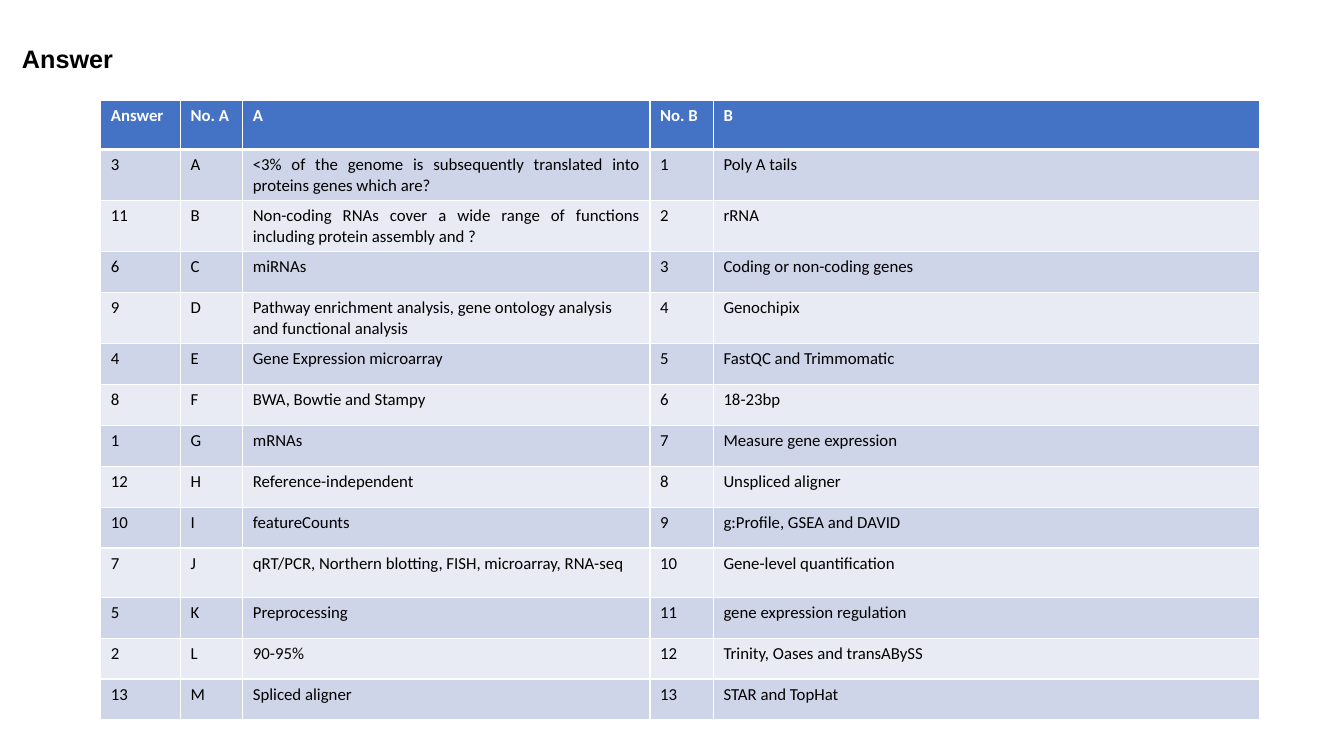
from lxml import etree
from pptx import Presentation
from pptx.dml.color import RGBColor
from pptx.enum.text import MSO_ANCHOR, MSO_AUTO_SIZE, PP_ALIGN
from pptx.oxml.ns import qn
from pptx.util import Cm, Pt

ANCHOR_MIDDLE = MSO_ANCHOR.MIDDLE
NO_AUTOFIT = MSO_AUTO_SIZE.NONE
LEFT = PP_ALIGN.LEFT
JUSTIFY = PP_ALIGN.JUSTIFY

BLACK = RGBColor(0x00, 0x00, 0x00)
WHITE = RGBColor(0xFF, 0xFF, 0xFF)
HEADER_BLUE = RGBColor(0x44, 0x72, 0xC4)
BAND_DARK = RGBColor(0xCF, 0xD5, 0xE9)
BAND_LIGHT = RGBColor(0xE8, 0xEB, 0xF4)

TITLE_ONLY = 5
THIN_LINE = Pt(1)
THICK_LINE = Pt(3)
TALL_ROW = 1.24
SHORT_ROW = 1.03

HEADINGS = ("Answer", "No. A", "A", "No. B", "B")
COLUMN_WIDTHS = (2.01, 1.57, 10.26, 1.6, 13.77)
TALL_ROWS = {0, 1, 2, 4, 10}
JUSTIFIED_CELLS = {(1, 2), (2, 2), (3, 4)}

# Matching number, question, option; letters and option numbers are counted
MATCHES = (
    (3, "<3% of the genome is subsequently translated into proteins genes which are?",
     "Poly A tails"),
    (11, "Non-coding RNAs cover a wide range of functions including protein assembly and ?",
     "rRNA"),
    (6, "miRNAs", "Coding or non-coding genes"),
    (9, "Pathway enrichment analysis, gene ontology analysis and functional analysis",
     "Genochipix"),
    (4, "Gene Expression microarray", "FastQC and Trimmomatic"),
    (8, "BWA, Bowtie and Stampy", "18-23bp"),
    (1, "mRNAs", "Measure gene expression"),
    (12, "Reference-independent", "Unspliced aligner"),
    (10, "featureCounts", "g:Profile, GSEA and DAVID"),
    (7, "qRT/PCR, Northern blotting, FISH, microarray, RNA-seq",
     "Gene-level quantification"),
    (5, "Preprocessing", "gene expression regulation"),
    (2, "90-95%", "Trinity, Oases and transABySS"),
    (13, "Spliced aligner", "STAR and TopHat"),
)


class SlideBuilder:
    title_font, title_size = "Arial", Pt(18)
    table_font, table_size = "Calibri", Pt(12)

    def __init__(self, presentation):
        self.slide = presentation.slides.add_slide(presentation.slide_layouts[TITLE_ONLY])

    def format_paragraph(self, paragraph, font_name, size, color, bold, alignment=LEFT):
        paragraph.alignment = alignment
        font = paragraph.font
        font.name, font.size, font.bold = font_name, size, bold
        font.color.rgb = color

    def title(self, text, left, top, width, height):
        title = self.slide.shapes.title
        title.left, title.top = Cm(left), Cm(top)
        title.width, title.height = Cm(width), Cm(height)
        frame = title.text_frame
        frame.text = text
        frame.auto_size = NO_AUTOFIT
        frame.vertical_anchor = ANCHOR_MIDDLE
        self.format_paragraph(frame.paragraphs[0], self.title_font, self.title_size, BLACK, True)

    def cell_borders(self, cell, top, bottom):
        properties = cell._tc.get_or_add_tcPr()
        widths = {"a:lnL": THIN_LINE, "a:lnR": THIN_LINE, "a:lnT": top, "a:lnB": bottom}
        for tag, width in widths.items():
            line = etree.SubElement(properties, qn(tag), w=str(width))
            fill = etree.SubElement(line, qn("a:solidFill"))
            etree.SubElement(fill, qn("a:srgbClr"), val=str(WHITE))

    def table(self, rows, left, top):
        heights = [TALL_ROW if i in TALL_ROWS else SHORT_ROW for i in range(len(rows))]
        table = self.slide.shapes.add_table(
            len(rows), len(COLUMN_WIDTHS), Cm(left), Cm(top),
            Cm(sum(COLUMN_WIDTHS)), Cm(sum(heights))).table
        table.horz_banding = False
        for column, width in zip(table.columns, COLUMN_WIDTHS):
            column.width = Cm(width)
        for row_index, values in enumerate(rows):
            table.rows[row_index].height = Cm(heights[row_index])
            for column_index, value in enumerate(values):
                self.cell(table, row_index, column_index, value)

    def cell(self, table, row_index, column_index, value):
        is_header = row_index == 0
        band = BAND_DARK if row_index % 2 else BAND_LIGHT
        cell = table.cell(row_index, column_index)
        cell.text = str(value)
        self.cell_borders(cell, THICK_LINE if row_index == 1 else THIN_LINE,
                          THICK_LINE if is_header else THIN_LINE)
        cell.fill.solid()
        cell.fill.fore_color.rgb = HEADER_BLUE if is_header else band
        justified = (row_index, column_index) in JUSTIFIED_CELLS
        self.format_paragraph(cell.text_frame.paragraphs[0], self.table_font, self.table_size,
                              WHITE if is_header else BLACK, is_header,
                              JUSTIFY if justified else LEFT)


def main():
    presentation = Presentation()
    presentation.slide_width, presentation.slide_height = Cm(33.87), Cm(19.05)
    builder = SlideBuilder(presentation)

    # Title
    builder.title("Answer", 0.3, 0.95, 10.82, 1.02)

    # Answer key
    rows = [HEADINGS]
    for number, (answer, question, option) in enumerate(MATCHES, start=1):
        letter = chr(ord("A") + number - 1)
        rows.append((answer, letter, question, number, option))
    builder.table(rows, 2.54, 2.53)

    presentation.save("out.pptx")


if __name__ == "__main__":
    main()
